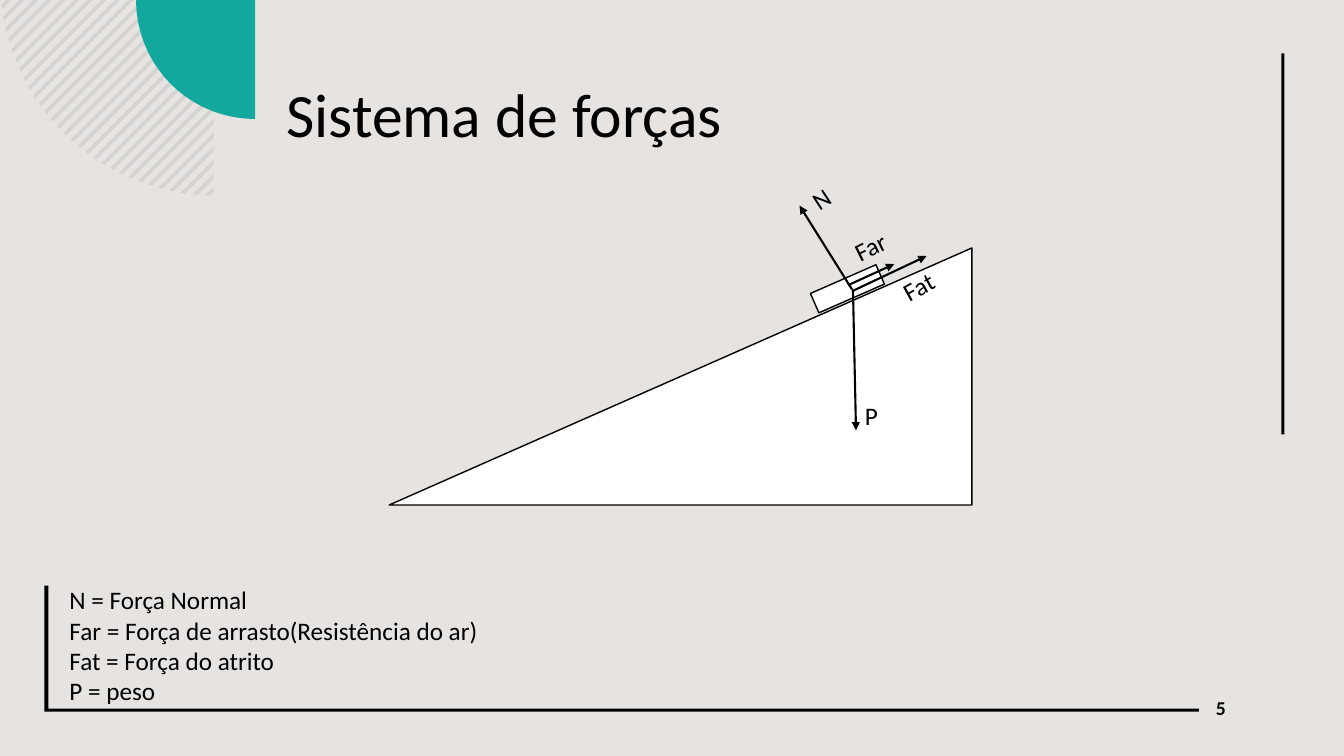
import math
from pptx import Presentation
from pptx import util as u
from pptx.dml.color import RGBColor
from pptx.enum import shapes, text
from pptx.oxml.ns import qn
from lxml import etree

In = u.Inches
deck = Presentation()
deck.slide_width, deck.slide_height = In(13.33), In(7.5)
slide = deck.slides.add_slide(deck.slide_layouts[5])
items = slide.shapes


def tint(fill, shade):
    fill.solid()
    fill.fore_color.rgb = RGBColor.from_string(shade)


def style(part, shade, edge=False):
    part.shadow.inherit = False
    tint(part.fill, shade)
    if edge:
        tint(part.line.fill, "000000")
        part.line.width = u.Pt(1)
    else:
        part.line.fill.background()


tint(slide.background.fill, "E6E3E1")

outlines = []
mid, top, rad, right = 2.14, -0.2, 2.14, 2.12
for i in range(30):
    low = 0.06 + 0.135 * i
    band = []
    for total in (low, low + 0.05):
        k = total - mid - top
        dx = (k - math.sqrt(2 * rad ** 2 - k ** 2)) / 2
        x = min(total, right)
        band.append([(mid + dx, top + k - dx), (x, total - x)])
    outlines.append((band[0] + band[1][::-1], "D5D3D1"))

arc = [(2.53 - 1.18 * math.cos(math.radians(a)),
        1.18 * math.sin(math.radians(a))) for a in range(0, 91, 2)]
outlines.append((arc + [(2.53, 0)], "12A89E"))
outlines.append(([(0.44, 5.81), (0.48, 5.81), (0.48, 7.03), (11.89, 7.03),
                  (11.89, 7.06), (0.44, 7.06)], "000000"))

for points, shade in outlines:
    dots = [(In(x), In(y)) for x, y in points]
    pen = items.build_freeform(*dots[0])
    pen.add_line_segments(dots[1:])
    style(pen.convert_to_shape(), shade)

kind = shapes.MSO_SHAPE
bar = items.add_shape(kind.RECTANGLE, In(12.71), In(0.53), In(0.03), In(3.78))
style(bar, "000000")

ramp = items.add_shape(kind.RIGHT_TRIANGLE, In(3.86), In(2.46), In(5.78), In(2.55))
ramp._element.spPr.find(qn("a:xfrm")).set("flipH", "1")
style(ramp, "FFFFFF", True)
block = items.add_shape(kind.RECTANGLE, In(8.05), In(2.76), In(0.71), In(0.21))
block.rotation = 336.3
style(block, "FFFFFF", True)

for ends in [(8.46, 2.87, 8.49, 4.27), (8.45, 2.87, 7.93, 2.04),
             (8.45, 2.89, 9.19, 2.54), (8.41, 2.83, 8.87, 2.62)]:
    force = items.add_connector(shapes.MSO_CONNECTOR.STRAIGHT, *map(In, ends))
    tint(force.line.fill, "000000")
    force.line.width = u.Pt(1.5)
    etree.SubElement(force.line._get_or_add_ln(), qn("a:tailEnd"), type="triangle")
    etree.SubElement(force._element.spPr, qn("a:effectLst"))

title = items.title
title.left, title.top, title.width, title.height = In(2.74), In(0.4), In(9.68), In(1.53)
title.text_frame.vertical_anchor = text.MSO_ANCHOR.MIDDLE

legend = """N = Força Normal
Far = Força de arrasto(Resistência do ar)
Fat = Força do atrito
P = peso"""
labels = [("5", 11.96, 6.86, 0.99, 0.4, 0, 14),
          ("N", 7.96, 1.76, 0.4, 0.4, 326.8, 18),
          ("Far", 8.36, 2.18, 0.8, 0.4, 333.6, 18),
          ("Fat", 8.84, 2.58, 0.76, 0.4, 331.2, 18),
          (legend, 0.59, 5.75, 4.67, 1.31, 0, 18),
          ("P", 8.48, 3.92, 0.4, 0.4, 0, 18)]
texts = [(title, "Sistema de forças", 44)]
for words, x, y, w, h, turn, size in labels:
    box = items.add_textbox(In(x), In(y), In(w), In(h))
    box.rotation = turn
    texts.append((box, words, size))

for box, words, size in texts:
    frame = box.text_frame
    frame.word_wrap = True
    frame.text = words
    for para in frame.paragraphs:
        para.alignment = text.PP_ALIGN.LEFT
        para.font.name = "Calibri"
        para.font.size = u.Pt(size)
        para.font.bold = size == 14
        para.font.color.rgb = RGBColor.from_string("000000")
title.text_frame.paragraphs[0].line_spacing = 0.9

deck.save("out.pptx")
